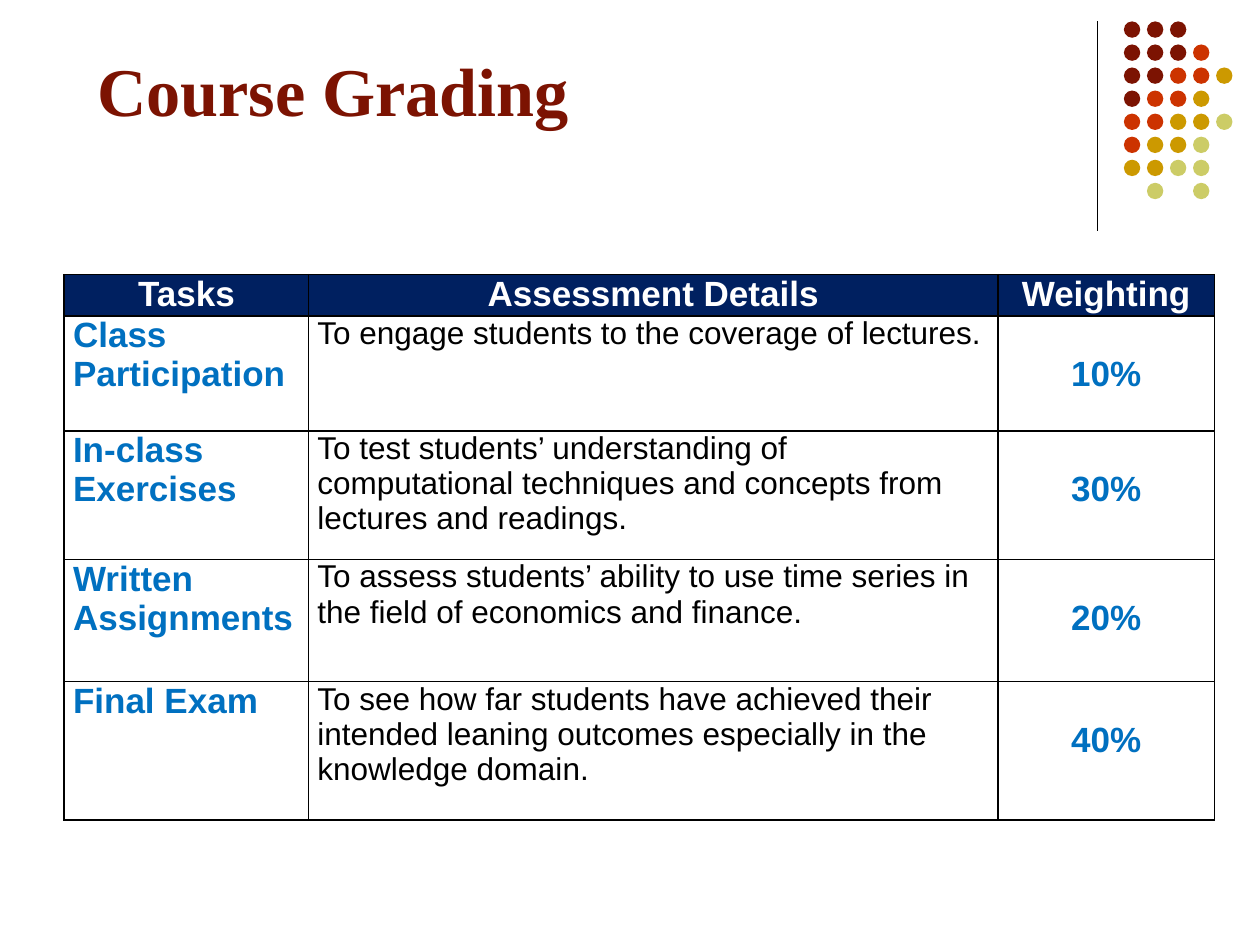
from lxml.etree import SubElement
from pptx import Presentation
from pptx.dml.color import RGBColor
from pptx.enum.shapes import MSO_CONNECTOR, MSO_SHAPE
from pptx.enum.text import MSO_ANCHOR, MSO_AUTO_SIZE, PP_ALIGN
from pptx.oxml import parse_xml
from pptx.oxml.ns import nsdecls, qn
from pptx.util import Inches, Pt

MAROON, RED, GOLD, OLIVE = "7C1302", "CC3300", "CC9900", "CCCC66"
NAVY, BLUE, BLACK, WHITE = "002060", "0070C0", "000000", "FFFFFF"


def rgb(value):
    return RGBColor.from_string(value)


class SlideBuilder:
    """Holds the style and the current slide."""

    title_font, body_font = "Times New Roman", "Arial"

    def __init__(self, prs):
        self.s = prs.slides.add_slide(prs.slide_layouts[5])

    def run(self, p, text, font, size, color, bold):
        r = p.add_run()
        r.text = text
        r.font.name, r.font.size, r.font.bold = font, Pt(size), bold
        r.font.color.rgb = rgb(color)

    def title(self, text, left, top, width, height):
        sp = self.s.shapes.title
        sp.left, sp.top = Inches(left), Inches(top)
        sp.width, sp.height = Inches(width), Inches(height)
        tf = sp.text_frame
        tf.auto_size = MSO_AUTO_SIZE.NONE
        tf.vertical_anchor = MSO_ANCHOR.BOTTOM
        p = tf.paragraphs[0]
        p.alignment = PP_ALIGN.LEFT
        self.run(p, text, self.title_font, 39, MAROON, True)

    def line(self, x1, y1, x2, y2):
        cn = self.s.shapes.add_connector(
            MSO_CONNECTOR.STRAIGHT, Inches(x1), Inches(y1), Inches(x2), Inches(y2))
        cn.line.color.rgb = rgb(BLACK)
        cn.line.width = Pt(0.75)
        SubElement(cn._element.spPr, qn("a:effectLst"))

    def dots(self, rows, left, top, pitch, size):
        colors = {"M": MAROON, "R": RED, "G": GOLD, "O": OLIVE}
        group = self.s.shapes.add_group_shape()
        for i, row in enumerate(rows):
            for j, key in enumerate(row):
                if key not in colors:
                    continue
                sp = group.shapes.add_shape(
                    MSO_SHAPE.OVAL, Inches(left + j * pitch), Inches(top + i * pitch),
                    Inches(size), Inches(size))
                sp.shadow.inherit = False
                sp.fill.solid()
                sp.fill.fore_color.rgb = rgb(colors[key])
                sp.line.fill.background()

    def table(self, rows, left, top, widths, heights):
        frame = self.s.shapes.add_table(
            len(rows), len(widths), Inches(left), Inches(top),
            Inches(sum(widths)), Inches(sum(heights)))
        tbl = frame.table
        for col, width in zip(tbl.columns, widths):
            col.width = Inches(width)
        for row, height in zip(tbl.rows, heights):
            row.height = Inches(height)
        for i, texts in enumerate(rows):
            for j, text in enumerate(texts):
                self.cell(tbl.cell(i, j), text, i == 0, j)

    def cell(self, cell, text, header, column):
        details, weighting = column == 1, column == 2
        cell.margin_left = cell.margin_right = Inches(0.07)
        cell.margin_bottom = 0
        # Weightings sit one text line below the top of the row
        cell.margin_top = Inches(0.31 if weighting and not header else 0)
        p = cell.text_frame.paragraphs[0]
        if header or weighting:
            p.alignment = PP_ALIGN.CENTER
        else:
            p.space_before = p.space_after = Pt(3)
        if header:
            self.run(p, text, self.body_font, 20, WHITE, True)
            cell.fill.solid()
            cell.fill.fore_color.rgb = rgb(NAVY)
        else:
            size, color = (18, BLACK) if details else (20, BLUE)
            self.run(p, text, self.body_font, size, color, not details)
            cell.fill.background()
        self.borders(cell)

    def borders(self, cell):
        tc_pr = cell._tc.get_or_add_tcPr()
        for i, side in enumerate(("lnL", "lnR", "lnT", "lnB")):
            tc_pr.insert(i, parse_xml(
                f'<a:{side} {nsdecls("a")} w="{Pt(1)}"><a:solidFill>'
                f'<a:srgbClr val="{BLACK}"/></a:solidFill></a:{side}>'))


def main():
    prs = Presentation()
    prs.slide_width, prs.slide_height = Inches(10), Inches(7.5)
    b = SlideBuilder(prs)

    # Corner decoration
    b.line(8.71, 0.17, 8.71, 1.83)
    b.dots(["MMM", "MMMR", "MMRRG", "MRRG", "RRGGO", "RGGO", "GGOO", " O O"],
           8.92, 0.17, 0.183, 0.13)

    # Title
    b.title("Course Grading", 0.67, 0.25, 8.5, 0.83)

    # Grading table
    b.table([
        ("Tasks", "Assessment Details", "Weighting"),
        ("Class Participation", "To engage students to the coverage of lectures.", "10%"),
        ("In-class Exercises",
         "To test students’ understanding of computational techniques and concepts "
         "from lectures and readings.", "30%"),
        ("Written Assignments",
         "To assess students’ ability to use time series in the field of economics "
         "and finance.", "20%"),
        ("Final Exam",
         "To see how far students have achieved their intended leaning outcomes "
         "especially in the knowledge domain.", "40%"),
    ], 0.51, 2.18, [1.94, 5.47, 1.72], [0.33, 0.91, 1.02, 0.97, 1.1])

    prs.save("out.pptx")


if __name__ == "__main__":
    main()
